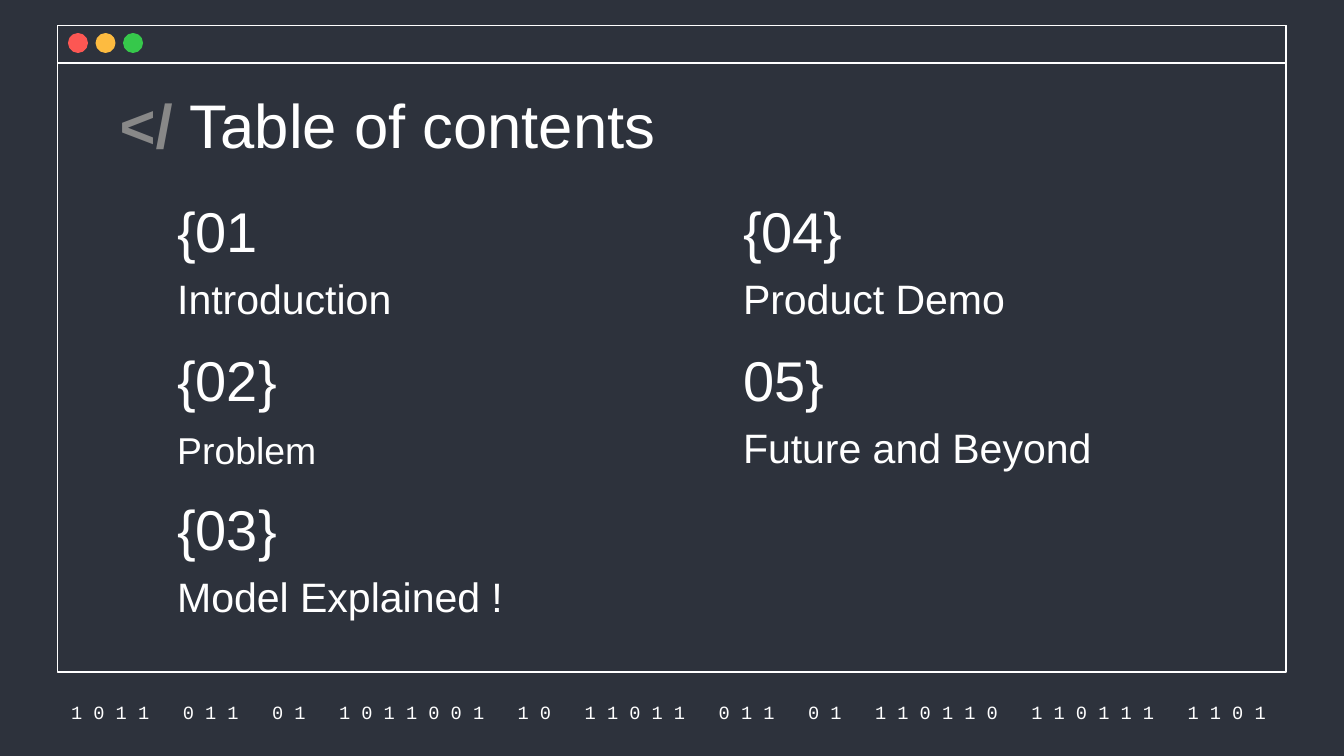
from pptx import Presentation
from pptx.dml.color import RGBColor as Rgb
from pptx.enum.shapes import MSO_SHAPE as Shape
from pptx.enum.text import MSO_ANCHOR as Anchor, MSO_AUTO_SIZE as Fit, PP_ALIGN as Align
from pptx.util import Inches, Pt

HUES = {"dark": "2D323C", "white": "FFFFFF", "grey": "888888",
        "red": "FC5753", "amber": "FDBB40", "green": "36C84B"}
BITS = ("1 0 1 1|0 1 1|0 1|1 0 1 1 0 0 1|1 0|1 1 0 1 1|0 1 1|0 1|"
        "1 1 0 1 1 0|1 1 0 1 1 1|1 1 0 1")
TOPICS = [
    (1.22, [("{01", "Introduction", 22), ("{02}", "Problem", 20),
            ("{03}", "Model Explained !", 22)]),
    (5.43, [("{04}", "Product Demo", 22), ("05}", "Future and Beyond", 22)]),
]
FIRST, STEP = 1.39, 1.11


class Deck:
    """Holds the style and the current slide."""

    def __init__(self):
        self.prs = Presentation()
        self.prs.slide_width = Inches(10)
        self.prs.slide_height = Inches(10) * 9 // 16
        self.slide = self.prs.slides.add_slide(self.prs.slide_layouts[5])
        self.paint(self.slide.background.fill, "dark")

    def paint(self, fill, hue):
        fill.solid()
        fill.fore_color.rgb = Rgb.from_string(HUES[hue])

    def shape(self, kind, box, fill, line, width):
        item = self.slide.shapes.add_shape(kind, *map(Inches, box))
        item.shadow.inherit = False
        self.paint(item.fill, fill)
        self.paint(item.line.fill, line)
        item.line.width = Pt(width)

    def frame(self, item, anchor, align, top=0.1):
        """Format the text frame of an item and return its paragraph."""
        style = {"word_wrap": True, "auto_size": Fit.NONE,
                 "vertical_anchor": anchor, "margin_left": Inches(0.1),
                 "margin_right": Inches(0.1), "margin_top": Inches(top),
                 "margin_bottom": Inches(0.1)}
        for name, value in style.items():
            setattr(item.text_frame, name, value)
        para = item.text_frame.paragraphs[0]
        para.alignment = align
        return para

    def run(self, para, text, size, hue="white", bold=False, face="Arial"):
        run = para.add_run()
        run.text = text
        for name, value in {"size": Pt(size), "bold": bold, "name": face}.items():
            setattr(run.font, name, value)
        run.font.color.rgb = Rgb.from_string(HUES[hue])
        return run

    def box(self, box, anchor=Anchor.BOTTOM, align=Align.LEFT):
        item = self.slide.shapes.add_textbox(*map(Inches, box))
        return self.frame(item, anchor, align)

    def title(self, mark, text):
        """Fill the title placeholder and bring it in front of the window."""
        item = self.slide.shapes.title
        item.element.getparent().append(item.element)
        place = zip(("left", "top", "width", "height"), (0.79, 0.5, 8.43, 0.63))
        for name, value in place:
            setattr(item, name, Inches(value))
        para = self.frame(item, Anchor.TOP, Align.LEFT, top=0.15)
        self.run(para, mark, 33, "grey", True)
        self.run(para, text, 33)

    def bits(self, text):
        """Write digit groups, each followed by one space; inner ones are widened."""
        para = self.box((0.38, 5.2, 9.27, 0.2), Anchor.MIDDLE, Align.CENTER)
        groups = text.split("|")
        for i, group in enumerate(groups, 1):
            self.run(para, group, 10, face="Courier New")
            gap = self.run(para, " ", 10, face="Courier New")
            if i < len(groups):
                gap._r.get_or_add_rPr().set("spc", "1200")


def main():
    deck = Deck()
    for high in (4.81, 0.28):
        deck.shape(Shape.RECTANGLE, (0.43, 0.19, 9.14, high), "dark", "white", 0.75)
    for i, hue in enumerate(("red", "amber", "green")):
        deck.shape(Shape.OVAL, (0.52 + i * 0.205, 0.26, 0.12, 0.12), hue, hue, 2)
    deck.bits(BITS)
    deck.title("</ ", "Table of contents")
    for left, items in TOPICS:
        for row, (mark, name, size) in enumerate(items):
            top = FIRST + row * STEP
            deck.run(deck.box((left, top, 1.42, 0.67)), mark, 30)
            deck.run(deck.box((left, top + 0.67, 3.35, 0.44)), name, size)
    deck.prs.save("out.pptx")


if __name__ == "__main__":
    main()
